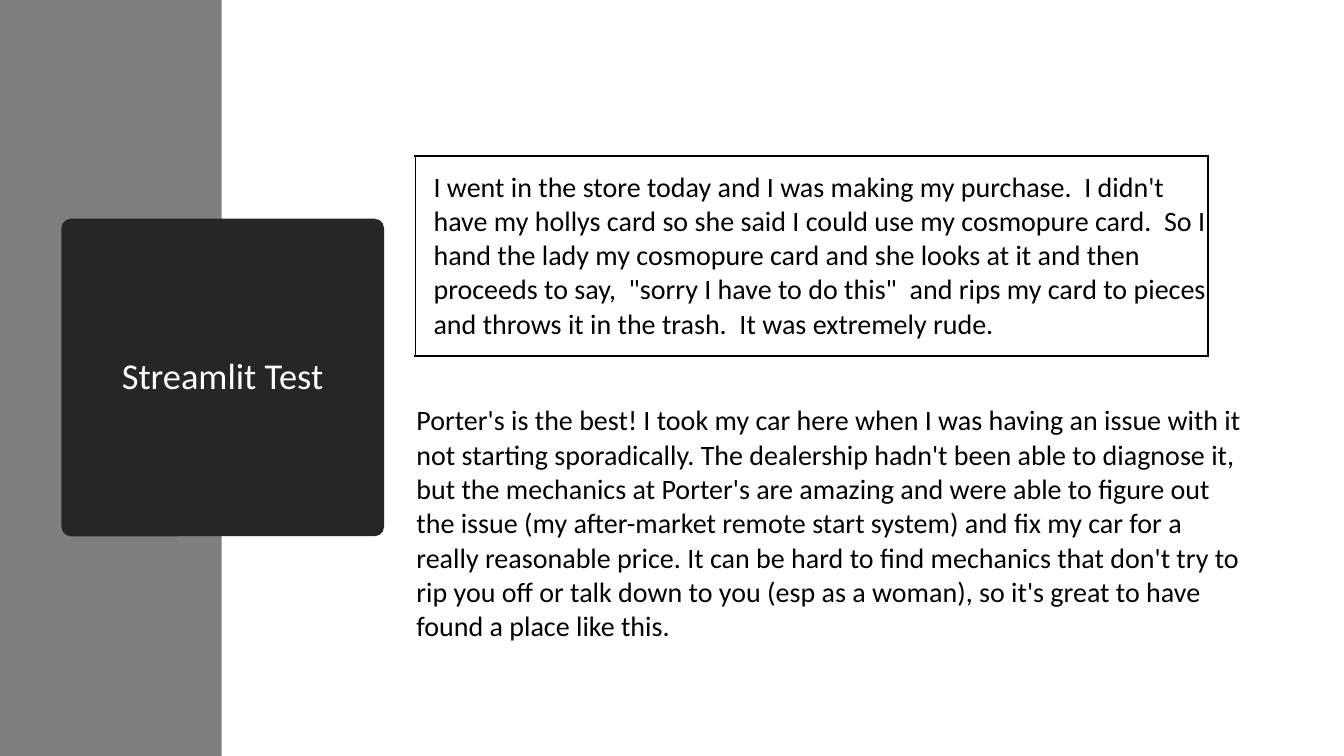
from lxml import etree
from pptx import Presentation
from pptx.dml.color import RGBColor
from pptx.enum.shapes import MSO_SHAPE
from pptx.enum.text import MSO_ANCHOR, PP_ALIGN
from pptx.oxml import parse_xml
from pptx.util import Inches, Pt

RECT = MSO_SHAPE.RECTANGLE
ROUND = MSO_SHAPE.ROUNDED_RECTANGLE
MIDDLE, BOTTOM = MSO_ANCHOR.MIDDLE, MSO_ANCHOR.BOTTOM
CENTER, LEFT = PP_ALIGN.CENTER, PP_ALIGN.LEFT

TITLE = "Streamlit Test"
REVIEWS = [
    {
        "text": "I went in the store today and I was making my purchase.  I didn't "
                "have my hollys card so she said I could use my cosmopure card.  So I "
                "hand the lady my cosmopure card and she looks at it and then "
                "proceeds to say,  \"sorry I have to do this\"  and rips my card to "
                "pieces and throws it in the trash.  It was extremely rude.",
        "box": (4.12, 1.55, 7.86, 1.95),
        "inset": (0.18, 0.14, 0.01, 0.14),
        "border": 1.5,
    },
    {
        "text": "Porter's is the best! I took my car here when I was having an issue "
                "with it not starting sporadically. The dealership hadn't been able to "
                "diagnose it, but the mechanics at Porter's are amazing and were able "
                "to figure out the issue (my after-market remote start system) and fix "
                "my car for a really reasonable price. It can be hard to find mechanics "
                "that don't try to rip you off or talk down to you (esp as a woman), so "
                "it's great to have found a place like this.",
        "box": (4.12, 4, 8.29, 2.34),
        "inset": (0.01, 0.01, 0.01, 0),
        "border": 0,
    },
]
COLORS = {"band": "7F7F7F", "card": "262626", "title": "FFFFFF", "ink": "000000"}
FONT = "Calibri"
NS = "http://schemas.openxmlformats.org/drawingml/2006/main"


def add_block(slide, kind, box, color):
    shape = slide.shapes.add_shape(kind, *map(Inches, box))
    shape.shadow.inherit = False
    shape.fill.solid()
    shape.fill.fore_color.rgb = RGBColor.from_string(COLORS[color])
    shape.line.fill.background()
    return shape


def set_text(frame, text, size, color, align):
    frame.word_wrap = True
    para = frame.paragraphs[0]
    para.text = text
    para.alignment = align
    para.font.name = FONT
    para.font.size = Pt(size)
    para.font.color.rgb = RGBColor.from_string(COLORS[color])
    return para


def set_border(cell, width):
    props = cell._tc.get_or_add_tcPr()
    for index, side in enumerate("LRTB"):
        fill = etree.Element(f"{{{NS}}}noFill")
        if width:
            fill = etree.Element(f"{{{NS}}}solidFill")
            etree.SubElement(fill, f"{{{NS}}}srgbClr", val=COLORS["ink"])
        line = parse_xml(f'<a:ln{side} xmlns:a="{NS}" w="{Pt(width)}"/>')
        line.append(fill)
        props.insert(index, line)


def add_review(slide, review):
    table = slide.shapes.add_table(1, 1, *map(Inches, review["box"])).table
    table.first_row = table.horz_banding = False
    cell = table.cell(0, 0)
    cell.fill.background()
    cell.vertical_anchor = BOTTOM
    left, top, right, bottom = map(Inches, review["inset"])
    cell.margin_left, cell.margin_top = left, top
    cell.margin_right, cell.margin_bottom = right, bottom
    set_text(cell.text_frame, review["text"], 20, "ink", LEFT)
    set_border(cell, review["border"])


def main():
    deck = Presentation()
    deck.slide_width, deck.slide_height = Inches(13.33), Inches(7.5)
    slide = deck.slides.add_slide(deck.slide_layouts[6])
    add_block(slide, RECT, (0, 0, 2.2, 7.5), "band")
    card = add_block(slide, ROUND, (0.61, 2.17, 3.2, 3.15), "card")
    card.adjustments[0] = 0.03
    card.text_frame.vertical_anchor = MIDDLE
    set_text(card.text_frame, TITLE, 26, "title", CENTER).line_spacing = 0.9
    for review in REVIEWS:
        add_review(slide, review)
    deck.save("out.pptx")


if __name__ == "__main__":
    main()
